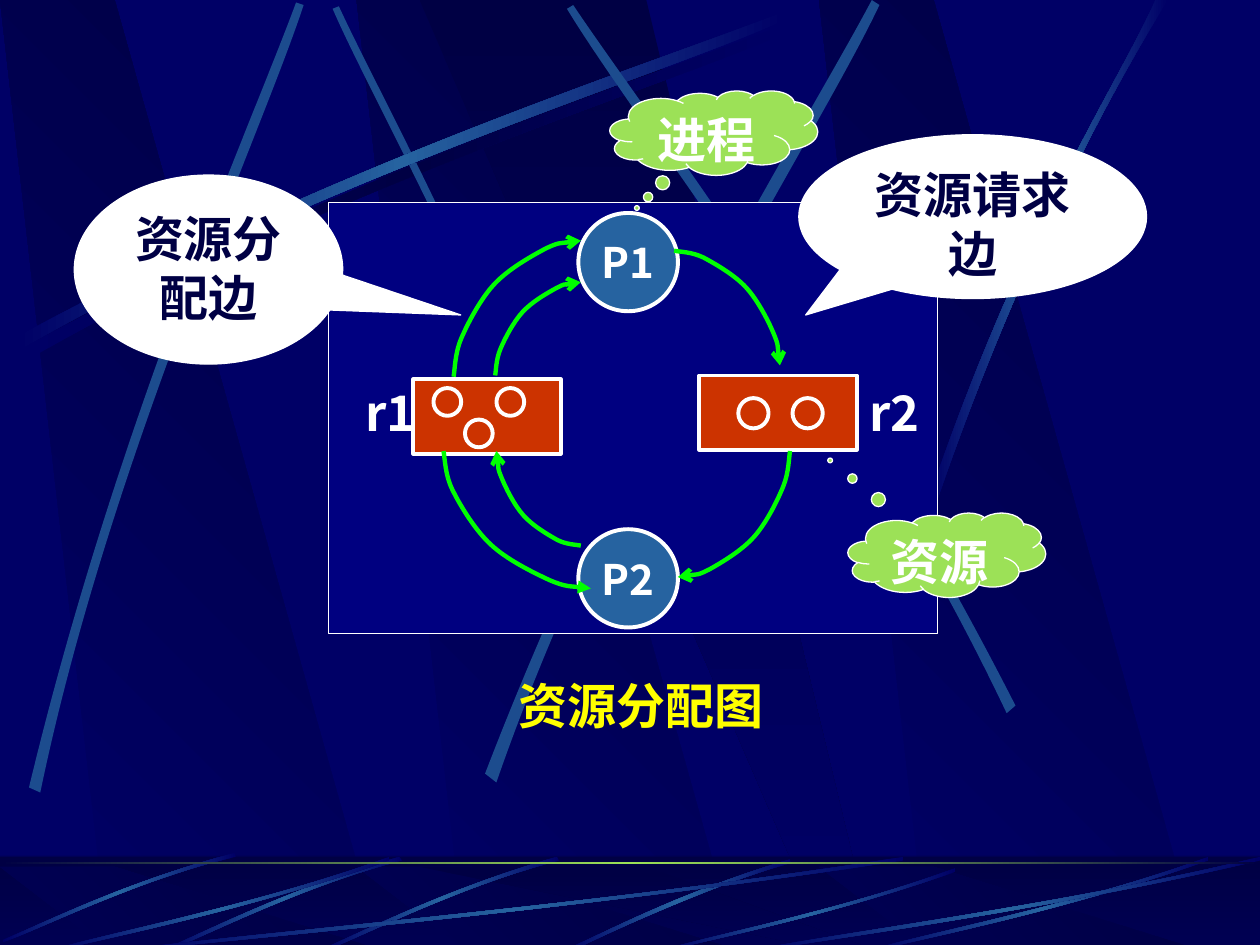
from copy import deepcopy

from lxml import etree
from pptx import Presentation
from pptx.dml.color import RGBColor
from pptx.enum.shapes import MSO_SHAPE
from pptx.enum.text import MSO_ANCHOR, MSO_AUTO_SIZE, PP_ALIGN
from pptx.oxml.ns import qn
from pptx.util import Inches, Pt

RECT, OVAL = MSO_SHAPE.RECTANGLE, MSO_SHAPE.OVAL
CLOUD, BALLOON = MSO_SHAPE.CLOUD_CALLOUT, MSO_SHAPE.OVAL_CALLOUT
TOP, MIDDLE = MSO_ANCHOR.TOP, MSO_ANCHOR.MIDDLE
LEFT, CENTER = PP_ALIGN.LEFT, PP_ALIGN.CENTER
FONT = "Noto Sans CJK SC"
NAVY = RGBColor(0x00, 0x00, 0x66)
DARK = RGBColor(0x00, 0x00, 0x44)
BLUE = RGBColor(0x26, 0x63, 0xA0)
STEEL = RGBColor(0x1C, 0x4C, 0x8E)
BOARD = RGBColor(0x00, 0x00, 0x80)
RED = RGBColor(0xCC, 0x33, 0x00)
LIME = RGBColor(0x9C, 0xE1, 0x57)
GREEN = RGBColor(0x00, 0xFF, 0x00)
YELLOW = RGBColor(0xFF, 0xFF, 0x00)
WHITE = RGBColor(0xFF, 0xFF, 0xFF)
GLOW = [NAVY, BLUE, NAVY]

prs = Presentation()
prs.slide_width, prs.slide_height = Inches(10), Inches(7.5)
s = prs.slides.add_slide(prs.slide_layouts[5])
s.background.fill.solid()
s.background.fill.fore_color.rgb = NAVY


def draw(geometry, box=None, fill=None, angle=0, line=None, width=0.75, closed=True):
    """Add a preset shape in a box, or an outline made of chains of cubic curves.

    A chain is a start point followed by three points per curve; a list of
    colours as fill gives an evenly spaced gradient.
    """
    if box:
        sp = s.shapes.add_shape(geometry, *(Inches(v) for v in box))
    else:
        emu = [(Inches(x), Inches(y)) for chain in geometry for x, y in chain]
        builder = s.shapes.build_freeform(*emu[0])
        builder.add_line_segments(emu[1:], close=False)
        sp = builder.convert_to_shape()
        outline = sp._element.spPr.find(".//" + qn("a:path"))
        steps, first = list(outline), 0
        for chain in geometry:
            for i in range(first + 1, first + len(chain), 3):
                curve = etree.Element(qn("a:cubicBezTo"))
                steps[i].addprevious(curve)
                for step in steps[i:i + 3]:
                    curve.append(step[0])
                    outline.remove(step)
            first += len(chain)
        if closed:
            etree.SubElement(outline, qn("a:close"))
    sp.shadow.inherit = False
    if fill is None:
        sp.fill.background()
    elif isinstance(fill, list):
        sp.fill.gradient()
        sp.fill.gradient_angle = angle
        stops = sp._element.spPr.find(".//" + qn("a:gsLst"))
        for _ in fill[2:]:
            stops.append(deepcopy(stops[0]))
        for i, (stop, color) in enumerate(zip(sp.fill.gradient_stops, fill)):
            stop.position = i / (len(fill) - 1)
            stop.color.rgb = color
    else:
        sp.fill.solid()
        sp.fill.fore_color.rgb = fill
    if line is None:
        sp.line.fill.background()
    else:
        sp.line.color.rgb = line
        sp.line.width = Pt(width)
    return sp


def write(sp, text, size=28, color=WHITE, align=CENTER, anchor=TOP, wrap=True):
    tf = sp.text_frame
    tf.auto_size = MSO_AUTO_SIZE.NONE
    tf.word_wrap, tf.vertical_anchor = wrap, anchor
    p = tf.paragraphs[0]
    p.alignment = align
    r = p.add_run()
    r.text = text
    r.font.name, r.font.size, r.font.bold = FONT, Pt(size), True
    r.font.color.rgb = color
    etree.SubElement(r._r.rPr, qn("a:ea"), typeface=FONT)


# Backdrop: slanted panels, light streaks and the floor
for top, bottom in ((0, 7.52), (6.88, 7.54)):
    if top:
        draw(RECT, (0, 6.8, 10, 0.75), fill=[DARK, NAVY], angle=270)
    for x in (2.83, 0, 6.5):
        draw([[(x + 0.86, bottom)], [(x + 3.02, bottom)], [(x + 0.91, top)], [(x, top)]],
             fill=[NAVY, DARK], angle=45)
    draw([[(3.33, top)], [(6.58, bottom)], [(6.94, bottom)], [(5.13, top)]],
         fill=[DARK, NAVY], angle=270)
    if top:
        veil = draw(RECT, (0, 6.79, 10, 0.75), fill=DARK)
        color = veil._element.spPr.find(qn("a:solidFill"))[0]
        etree.SubElement(color, qn("a:alpha"), val="50000")
        streaks = [
            (GLOW, [(6.27, 6.82), (5.37, 7.09), (4.77, 7.42), (4.48, 7.54)],
             [(4.53, 7.55), (4.9, 7.37), (5.71, 7), (6.28, 6.85)]),
            (GLOW, [(1.86, 6.77), (0.99, 7), (0.32, 7.34), (0.02, 7.46)],
             [(0.02, 7.48), (0.33, 7.37), (1.09, 6.98), (1.87, 6.8)]),
        ]
        for x in (2.56, 1.31):
            streaks.append((GLOW, [(x + 1.86, 6.8), (x + 0.99, 7.05), (x + 0.31, 7.4), (x, 7.53)],
                            [(x + 0.01, 7.55), (x + 0.32, 7.43), (x + 1.09, 7.03), (x + 1.88, 6.83)]))
        for x, w in ((1, 6.17), (0.42, 2.67), (5.27, 2.31), (6.92, 2.67), (6, 4)):
            y, h = (6.89, 0.66) if x == 5.27 else (6.8, 0.75)
            streaks.append((GLOW,
                            [(x + w, y + 0.03), (x + 0.57 * w, y + 0.57 * h), (x + 0.17 * w, y + 0.85 * h),
                             (x, y + h)],
                            [(x, y + 0.98 * h), (x + 0.16 * w, y + 0.81 * h), (x + 0.62 * w, y + 0.5 * h),
                             (x + w, y)]))
    else:
        streaks = [
            ([NAVY, DARK, NAVY], [(0.2, 2.75), (2.84, 1.34), (5.24, 0.59), (6.26, 0.18)],
             [(6.29, 0.24), (5.28, 0.69), (2.54, 1.51), (0.23, 2.85)]),
            (STEEL, [(4.6, 4.36), (3.91, 2.34), (3.02, 0.77), (2.69, 0.05)],
             [(2.64, 0.07), (2.95, 0.79), (3.98, 2.58), (4.54, 4.39)]),
            (GLOW, [(0.14, 2.67), (2.78, 1.25), (5.18, 0.51), (6.2, 0.1)],
             [(6.23, 0.16), (5.22, 0.61), (2.48, 1.43), (0.17, 2.77)]),
            (STEEL, [(0.23, 6.25), (0.93, 3.34), (1.97, 1.05), (2.35, 0.02)],
             [(2.41, 0.04), (2.07, 1.08), (0.86, 3.68), (0.32, 6.29)]),
            (STEEL, [(3.85, 6.14), (4.98, 3.2), (6.38, 1.02), (6.92, 0)],
             [(6.98, 0.04), (6.49, 1.08), (4.86, 3.55), (3.94, 6.21)]),
            (STEEL, [(8.06, 5.6), (6.7, 2.93), (5.16, 0.95), (4.55, 0.04)],
             [(4.5, 0.07), (5.07, 1.01), (6.85, 3.25), (7.99, 5.66)]),
            (GLOW, [(7.38, 3.93), (8.14, 1.73), (8.88, 0.66), (9.17, 0)],
             [(9.27, 0), (8.36, 1.45), (7.69, 3.22), (7.44, 3.97)]),
        ]
    for fill, *edges in streaks:
        draw(edges, fill=fill)
draw(RECT, (0, 6.84, 10, 0.02), fill=[DARK, LIME, DARK])

# The backdrop belongs to the slide master
master = prs.slide_master.shapes
for sp in list(s.shapes):
    if not sp.is_placeholder:
        master._spTree.append(sp._element)

# Board with processes and resources
draw(RECT, (2.61, 1.61, 4.83, 3.42), fill=BOARD, line=WHITE)
for box in ((3.28, 3.01, 1.17, 0.59), (5.55, 2.98, 1.25, 0.59)):
    draw(RECT, box, fill=RED, line=WHITE, width=2.25)
for name, y in (("P1", 1.69), ("P2", 4.2)):
    process = draw(OVAL, (4.59, y, 0.79, 0.78), fill=BLUE, line=WHITE, width=2.25)
    write(process, name, size=24, anchor=MIDDLE, wrap=False)
for x, y, d in ((3.44, 3.08, 0.22), (3.94, 3.08, 0.22), (3.69, 3.33, 0.22),
                (5.86, 3.16, 0.24), (6.29, 3.16, 0.24)):
    draw(OVAL, (x, y, d, d), line=WHITE, width=2.25)

# Edges: one quarter arc stretched from each resource to its process
ARC = [(0, 0), (0.01, 0.05), (0.01, 0.17), (0.06, 0.28), (0.11, 0.39), (0.21, 0.57), (0.32, 0.68),
       (0.43, 0.79), (0.6, 0.88), (0.72, 0.94), (0.83, 0.99), (0.94, 0.99), (1, 1)]
for x1, y1, x2, y2, end, tip in (
        (3.6, 2.99, 4.61, 1.91, "a:tailEnd", "arrow"),
        (3.93, 2.98, 4.61, 2.24, "a:tailEnd", "arrow"),
        (6.19, 2.9, 5.35, 1.99, "a:headEnd", "arrow"),
        (6.27, 3.58, 5.38, 4.58, "a:tailEnd", "arrow"),
        (3.52, 3.58, 4.69, 4.67, "a:tailEnd", "triangle"),
        (3.94, 3.58, 4.61, 4.33, "a:headEnd", "arrow")):
    arc = [(x1 + u * (x2 - x1), y1 + v * (y2 - y1)) for u, v in ARC]
    edge = draw([arc], line=GREEN, width=2.5, closed=False)
    etree.SubElement(edge._element.spPr.find(qn("a:ln")), qn(end), type=tip)

for name, x in (("r1", 2.8), ("r2", 6.8)):
    label = s.shapes.add_textbox(Inches(x), Inches(2.99), Inches(0.6), Inches(0.57))
    write(label, name, align=LEFT, wrap=False)

title = s.shapes.title
title.left, title.top, title.width, title.height = (Inches(v) for v in (2.8, 5.31, 4.57, 0.57))
write(title, "资源分配图", color=YELLOW)

for kind, box, tip, fill, color, text in (
        (BALLOON, (6.34, 1.07, 2.76, 1.3), (-0.48, 0.6), WHITE, DARK, "资源请求边"),
        (BALLOON, (0.59, 1.39, 2.13, 1.5), (0.94, 0.24), WHITE, DARK, "资源分配边"),
        (CLOUD, (4.84, 0.72, 1.65, 0.67), (-0.37, 0.89), LIME, WHITE, "进程"),
        (CLOUD, (6.73, 4.07, 1.57, 0.67), (-0.59, -1.12), LIME, WHITE, "资源")):
    callout = draw(kind, box, fill=fill, line=WHITE)
    callout.adjustments[0], callout.adjustments[1] = tip
    write(callout, text, color=color)

prs.save("out.pptx")
